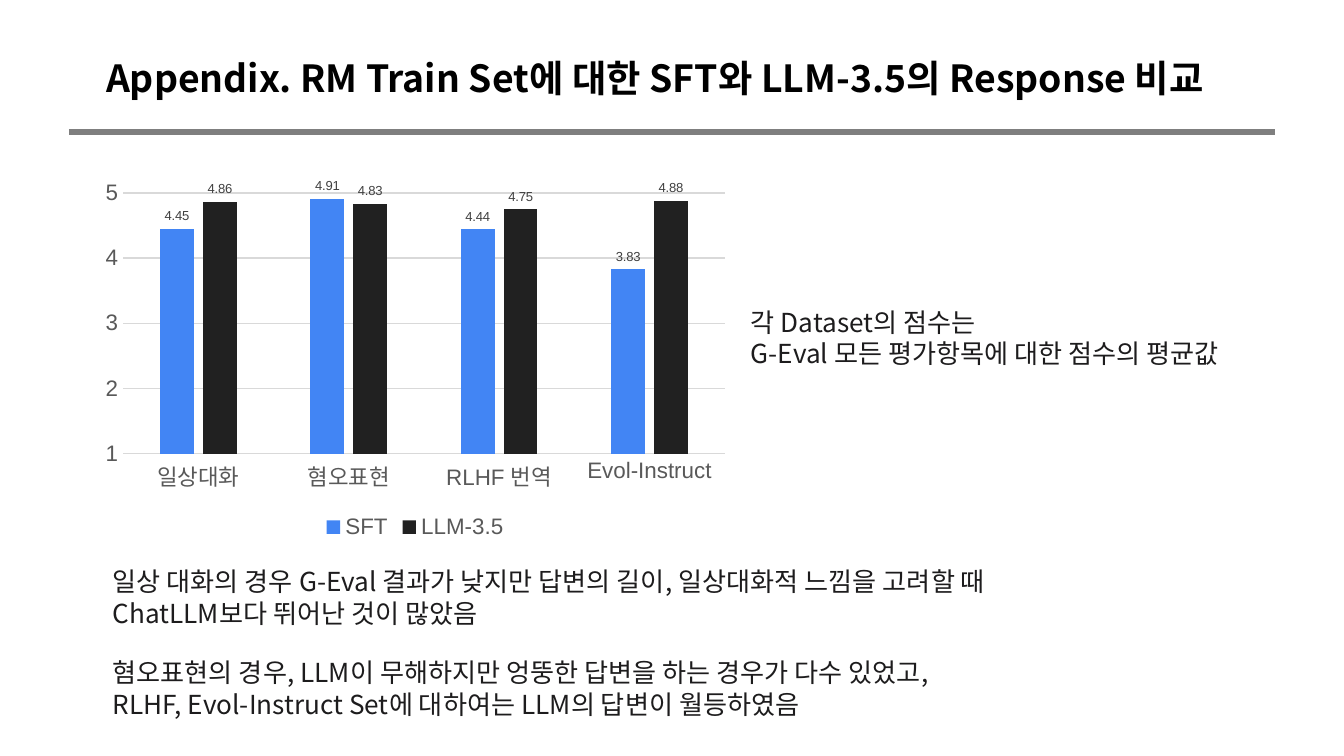
from lxml import etree
from pptx import Presentation
from pptx import util as u
from pptx.chart.data import CategoryChartData
from pptx.dml.color import RGBColor
from pptx.enum import chart as charts
from pptx.enum import shapes, text
from pptx.oxml.ns import qn

TEXT_FONT = "Noto Sans CJK KR"
CHART_FONT = "Arial"
CATEGORIES = ["일상대화", "혐오표현", "RLHF 번역", "Evol-Instruct"]
SERIES = [
    ("SFT", [4.45, 4.91, 4.44, 3.83], "4285F4"),
    ("LLM-3.5", [4.86, 4.83, 4.75, 4.88], "212121"),
]
NOTES = [
    (13.94, 5.66, 9.73, ["각 Dataset의 점수는", "G-Eval 모든 평가항목에 대한 점수의 평균값"]),
    (1.88, 10.57, 17.91, [
        "일상 대화의 경우 G-Eval 결과가 낮지만 답변의 길이, 일상대화적 느낌을 고려할 때 "
        "ChatLLM보다 뛰어난 것이 많았음",
    ]),
    (1.88, 12.29, 17.91, [
        "혐오표현의 경우, LLM이 무해하지만 엉뚱한 답변을 하는 경우가 다수 있었고,",
        "RLHF, Evol-Instruct Set에 대하여는 LLM의 답변이 월등하였음",
    ]),
]


def color(value):
    """Turn a hex string into a colour."""
    return RGBColor.from_string(value)


def style_font(font, name, size, value, bold=False):
    """Set the face, size, colour and weight of a font."""
    font.name = name
    font.size = u.Pt(size)
    font.color.rgb = color(value)
    font.bold = bold


def style_line(line, value, width):
    """Set the colour and width of a line."""
    line.color.rgb = color(value)
    line.width = u.Pt(width)


def add_run(paragraph, words, size, value, bold=False):
    """Add a run in the text font for Latin and Korean letters."""
    run = paragraph.add_run()
    run.text = words
    style_font(run.font, TEXT_FONT, size, value, bold)
    east_asian = etree.SubElement(run.font._element, qn("a:ea"))
    east_asian.set("typeface", TEXT_FONT)


def set_title(slide, words):
    """Place and fill the title placeholder."""
    title = slide.shapes.title
    title.left, title.top = u.Cm(1.75), u.Cm(0.76)
    title.width, title.height = u.Cm(21.9), u.Cm(1.5)
    frame = title.text_frame
    frame.word_wrap = True
    frame.auto_size = text.MSO_AUTO_SIZE.NONE
    frame.vertical_anchor = text.MSO_ANCHOR.MIDDLE
    paragraph = frame.paragraphs[0]
    paragraph.alignment = text.PP_ALIGN.LEFT
    paragraph.line_spacing = 0.9
    add_run(paragraph, words, 20, "000000", bold=True)


def add_rule(slide):
    """Draw the grey rule under the title."""
    y = u.Cm(2.49)
    rule = slide.shapes.add_connector(
        shapes.MSO_CONNECTOR.STRAIGHT, u.Cm(1.3), y, u.Cm(24.1), y)
    style_line(rule.line, "7F7F7F", 3)
    etree.SubElement(rule._element.spPr, qn("a:effectLst"))


def add_note(slide, left, top, width, lines):
    """Add a text box with one paragraph per line."""
    box = slide.shapes.add_textbox(u.Cm(left), u.Cm(top), u.Cm(width), u.Cm(1.45))
    frame = box.text_frame
    frame.word_wrap = True
    frame.auto_size = text.MSO_AUTO_SIZE.SHAPE_TO_FIT_TEXT
    for index, words in enumerate(lines):
        paragraph = frame.add_paragraph() if index else frame.paragraphs[0]
        add_run(paragraph, words, 14, "1D1C1D")


def style_axes(chart):
    """Format both axes and the gridlines."""
    for axis in (chart.category_axis, chart.value_axis):
        axis.major_tick_mark = charts.XL_TICK_MARK.NONE
        axis.minor_tick_mark = charts.XL_TICK_MARK.NONE
        style_font(axis.tick_labels.font, CHART_FONT, 12, "595959")
    style_line(chart.category_axis.format.line, "D9D9D9", 0.75)
    scores = chart.value_axis
    scores.minimum_scale, scores.maximum_scale, scores.major_unit = 1, 5, 1
    scores.format.line.fill.background()
    style_line(scores.major_gridlines.format.line, "D9D9D9", 0.75)


def style_series(series, value):
    """Fill the columns and show their values above them."""
    series.format.fill.solid()
    series.format.fill.fore_color.rgb = color(value)
    series.invert_if_negative = False
    labels = series.data_labels
    labels.show_value = True
    labels.position = charts.XL_LABEL_POSITION.OUTSIDE_END
    style_font(labels.font, CHART_FONT, 7, "404040")


def add_score_chart(slide):
    """Add the column chart of scores by data set."""
    data = CategoryChartData()
    data.categories = CATEGORIES
    for name, values, _ in SERIES:
        data.add_series(name, values)
    chart = slide.shapes.add_chart(
        charts.XL_CHART_TYPE.COLUMN_CLUSTERED,
        u.Cm(1.75), u.Cm(3.28), u.Cm(12.19), u.Cm(7.01), data).chart
    style_font(chart.font, CHART_FONT, 10, "000000")
    chart.has_title = False
    chart.has_legend = True
    chart.legend.position = charts.XL_LEGEND_POSITION.BOTTOM
    chart.legend.include_in_layout = False
    style_font(chart.legend.font, CHART_FONT, 12, "595959")
    style_axes(chart)
    plot = chart.plots[0]
    plot.gap_width, plot.overlap = 219, -27
    plot.vary_by_categories = False
    for series, (_, _, value) in zip(plot.series, SERIES):
        style_series(series, value)


def main():
    """Build and save the slide."""
    presentation = Presentation()
    presentation.slide_width, presentation.slide_height = u.Cm(25.4), u.Cm(14.29)
    slide = presentation.slides.add_slide(presentation.slide_layouts.get_by_name("Title Only"))
    set_title(slide, "Appendix. RM Train Set에 대한 SFT와 LLM-3.5의 Response 비교")
    add_rule(slide)
    add_score_chart(slide)
    for note in NOTES:
        add_note(slide, *note)
    presentation.save("out.pptx")


if __name__ == "__main__":
    main()
